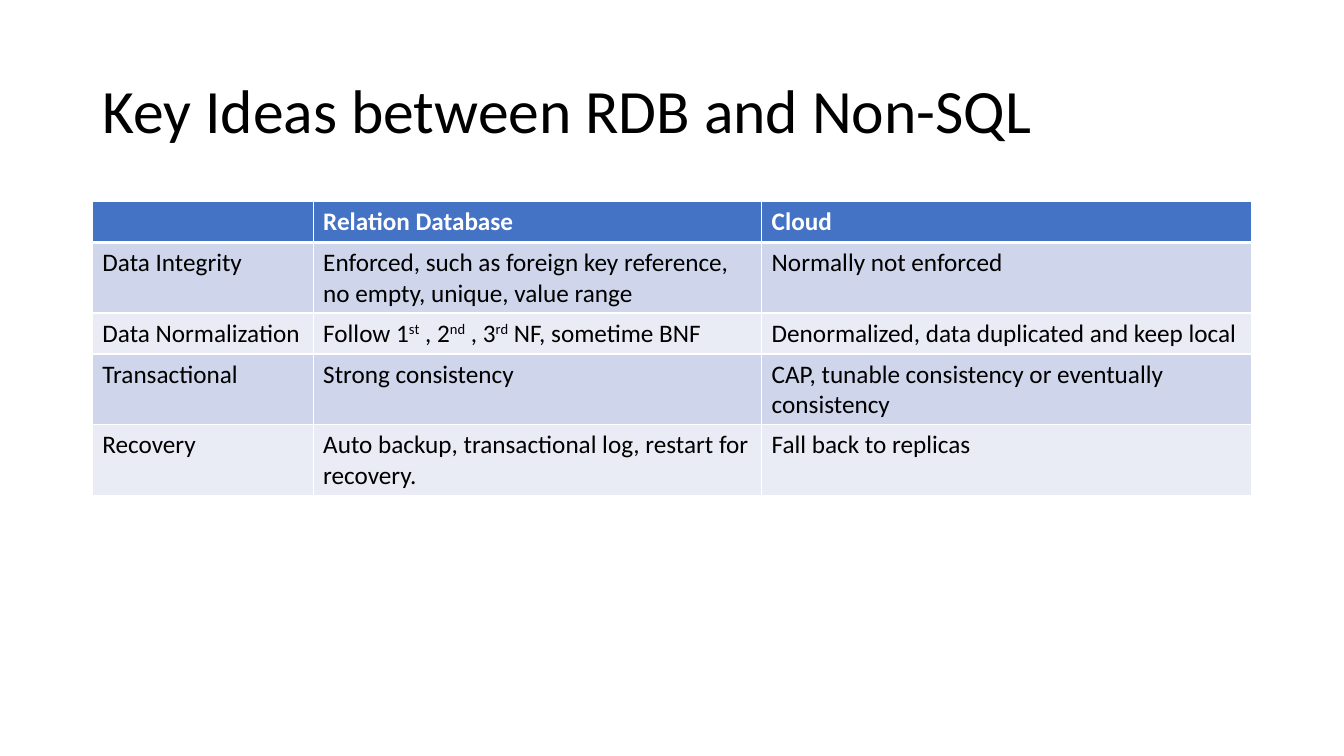
import lxml.etree
import pptx
import pptx.dml.color
import pptx.enum.text
import pptx.oxml.ns
import pptx.util

Pt = pptx.util.Pt
FONT = "Calibri"
HUES = {"ink": "000000", "head": "4472C4", "odd": "CFD5EA", "even": "E9EBF5", "white": "FFFFFF"}
COLS = (157.7, 320.4, 349.9)
ROW = 29.2
ROWS = [
    ["", "Relation Database", "Cloud"],
    ["Data Integrity",
     "Enforced, such as foreign key reference, no empty, unique, value range",
     "Normally not enforced"],
    ["Data Normalization",
     ["Follow 1", "st", " , 2", "nd", " , 3", "rd", " NF, sometime BNF"],
     "Denormalized, data duplicated and keep local"],
    ["Transactional", "Strong consistency",
     "CAP, tunable consistency or eventually consistency"],
    ["Recovery", "Auto backup, transactional log, restart for recovery.",
     "Fall back to replicas"],
]


def hue(name):
    """Return the named colour."""
    return pptx.dml.color.RGBColor.from_string(HUES[name])


def add_run(para, text, size, tint, bold=False, raised=False):
    """Add one styled run to a paragraph."""
    run = para.add_run()
    run.text = text
    run.font.name = FONT
    run.font.size = Pt(size)
    run.font.bold = bold
    run.font.color.rgb = hue(tint)
    if raised:
        run._r.get_or_add_rPr().set("baseline", "30000")


def add_edge(cell, side, width):
    """Draw a white border on one side of a cell."""
    qn = pptx.oxml.ns.qn
    line = lxml.etree.Element(qn(f"a:ln{side}"), w=str(Pt(width)))
    fill = lxml.etree.SubElement(line, qn("a:solidFill"))
    lxml.etree.SubElement(fill, qn("a:srgbClr"), val=HUES["white"])
    cell._tc.get_or_add_tcPr().append(line)


def fill_cell(cell, text, row):
    """Set the borders, fill and text of a cell in the given row."""
    head = row == 0
    for side in "LRTB":
        thick = (head and side == "B") or (row == 1 and side == "T")
        add_edge(cell, side, 3 if thick else 1)
    cell.fill.solid()
    cell.fill.fore_color.rgb = hue("head" if head else "odd" if row % 2 else "even")
    para = cell.text_frame.paragraphs[0]
    para.font.size = Pt(18)
    parts = [text] if isinstance(text, str) else text
    for i, part in enumerate(parts):
        if part:
            add_run(para, part, 18, "white" if head else "ink", head, i % 2 == 1)


def add_title(slide, left, top, width, height):
    """Place the slide title in its box."""
    frame = slide.shapes.add_textbox(Pt(left), Pt(top), Pt(width), Pt(height)).text_frame
    frame.word_wrap = True
    frame.vertical_anchor = pptx.enum.text.MSO_ANCHOR.MIDDLE
    para = frame.paragraphs[0]
    para.line_spacing = 0.9
    add_run(para, "Key Ideas between RDB and Non-SQL", 44, "ink")


def add_grid(slide, left, top):
    """Place the comparison table from its top left corner."""
    grid = slide.shapes.add_table(
        len(ROWS), len(COLS), Pt(left), Pt(top), Pt(sum(COLS)), Pt(ROW * len(ROWS))
    ).table
    for col, width in zip(grid.columns, COLS):
        col.width = Pt(width)
    for r, texts in enumerate(ROWS):
        for c, text in enumerate(texts):
            fill_cell(grid.cell(r, c), text, r)


def main():
    """Build and save the slide."""
    deck = pptx.Presentation()
    deck.slide_width, deck.slide_height = Pt(960), Pt(540)
    slide = deck.slides.add_slide(deck.slide_layouts[6])
    add_title(slide, 66, 28.8, 828, 104.4)
    add_grid(slide, 66, 144)
    deck.save("out.pptx")


if __name__ == "__main__":
    main()
